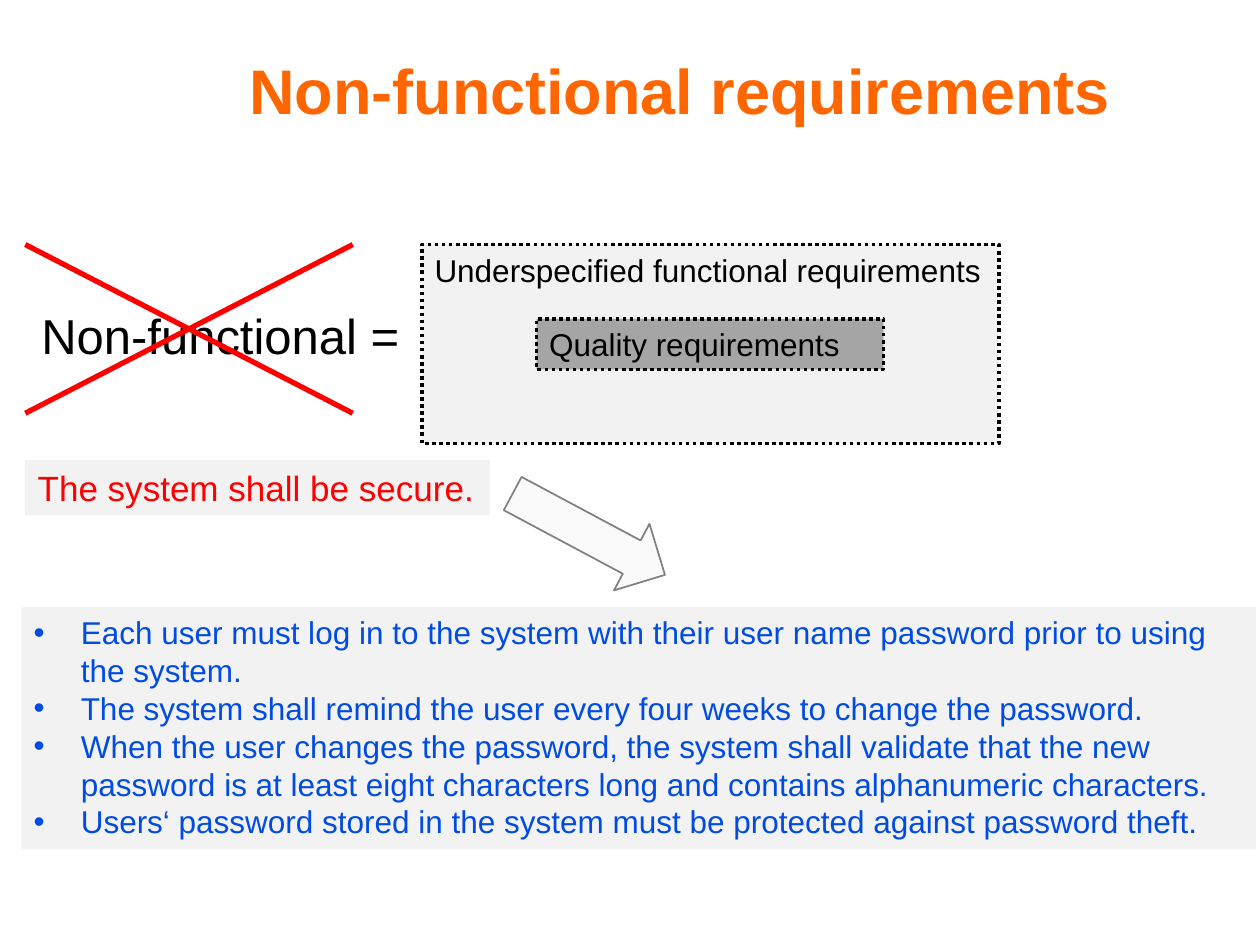
from lxml import etree
from pptx import Presentation
from pptx.dml.color import RGBColor
from pptx.enum.dml import MSO_LINE
from pptx.enum.shapes import MSO_CONNECTOR, MSO_SHAPE
from pptx.enum.text import MSO_ANCHOR, MSO_AUTO_SIZE, PP_ALIGN
from pptx.oxml.ns import qn
from pptx.util import Cm, Pt

RECT, ARROW = MSO_SHAPE.RECTANGLE, MSO_SHAPE.RIGHT_ARROW
STRAIGHT, DOT = MSO_CONNECTOR.STRAIGHT, MSO_LINE.ROUND_DOT
TOP, MIDDLE, BOTTOM = MSO_ANCHOR.TOP, MSO_ANCHOR.MIDDLE, MSO_ANCHOR.BOTTOM
LEFT, CENTER = PP_ALIGN.LEFT, PP_ALIGN.CENTER
NO_FIT = MSO_AUTO_SIZE.NONE

TITLE = "Non-functional requirements"
TERM = "Non-functional ="
BLUE = "004CE2"
RULES = [
    "Each user must log in to the system with their user name password prior to using the system.",
    "The system shall remind the user every four weeks to change the password.",
    "When the user changes the password, the system shall validate that the new password is "
    "at least eight characters long and contains alphanumeric characters.",
    "Users‘ password stored in the system must be protected against password theft.",
]
BOXES = [
    (["Underspecified functional requirements"], (8.51, 4.93, 11.63, 4.01), "F2F2F2", "000000", 18, True),
    (["Quality requirements"], (10.82, 6.43, 6.99, 1.02), "A5A5A5", "000000", 18, True),
    (["The system shall be secure."], (0.51, 9.27, 9.37, 1.12), "F2F2F2", "FF0000", 20, False),
    (RULES, (0.43, 12.24, 24.89, 4.88), "F2F2F2", BLUE, 18, False),
]
ARROW_AT = (10.13, 10.01, 3.48, 1.52)
CROSS = (0.51, 4.93, 7.11, 8.33)


def rgb(value):
    return RGBColor.from_string(value)


def cm(values):
    return [Cm(v) for v in values]


def move(sp, at):
    sp.left, sp.top, sp.width, sp.height = cm(at)


def write(sp, lines, size, color, align=LEFT, anchor=TOP, bold=False):
    tf = sp.text_frame
    tf.text = "\n".join(lines)
    tf.word_wrap = True
    tf.auto_size = NO_FIT
    tf.vertical_anchor = anchor
    for p in tf.paragraphs:
        p.alignment = align
        p.space_before = Pt(0)
        font = p.runs[0].font
        font.name, font.size, font.bold = "Arial", Pt(size), bold
        font.color.rgb = rgb(color)
    return tf


def set_bullet(p, indent, color=None):
    pPr = p._p.get_or_add_pPr()
    pPr.set("marL", str(indent))
    pPr.set("indent", str(-indent))
    if color is None:
        etree.SubElement(pPr, qn("a:buNone"))
        return
    bu_color = etree.SubElement(pPr, qn("a:buClr"))
    etree.SubElement(bu_color, qn("a:srgbClr"), val=color)
    etree.SubElement(pPr, qn("a:buFont"), typeface="Arial")
    etree.SubElement(pPr, qn("a:buChar"), char="•")


def add_shape(s, kind, at, fill):
    sp = s.shapes.add_shape(kind, *cm(at))
    sp.shadow.inherit = False
    sp.fill.solid()
    sp.fill.fore_color.rgb = rgb(fill)
    sp.line.fill.background()
    return sp


def set_line(line, color, width):
    line.color.rgb = rgb(color)
    line.width = Pt(width)


def main():
    prs = Presentation()
    prs.slide_width, prs.slide_height = Cm(25.4), Cm(19.05)
    s = prs.slides.add_slide(prs.slide_layouts[1])

    title, body = s.placeholders
    move(title, (2.59, 0.41, 22.23, 2.77))
    write(title, [TITLE], 36, "FF6600", CENTER, MIDDLE, True)
    move(body, (0.58, 4.57, 24, 3.35))
    tf = write(body, [TERM], 28, "000000", anchor=BOTTOM)
    tf.margin_bottom = Cm(0.58)
    set_bullet(tf.paragraphs[0], 0)

    for lines, at, fill, color, size, dotted in BOXES:
        sp = add_shape(s, RECT, at, fill)
        tf = write(sp, lines, size, color)
        if dotted:
            set_line(sp.line, "000000", 2)
            sp.line.dash_style = DOT
        if len(lines) > 1:
            for p in tf.paragraphs:
                set_bullet(p, Cm(0.95), color)

    arrow = add_shape(s, ARROW, ARROW_AT, "FAFAFA")
    set_line(arrow.line, "808080", 1)
    arrow.rotation = 28.1

    x1, y1, x2, y2 = CROSS
    for start, end in ((y1, y2), (y2, y1)):
        stroke = s.shapes.add_connector(STRAIGHT, *cm((x1, start, x2, end)))
        set_line(stroke.line, "FF0000", 3)
        etree.SubElement(stroke._element.spPr, qn("a:effectLst"))

    prs.save("out.pptx")


if __name__ == "__main__":
    main()
